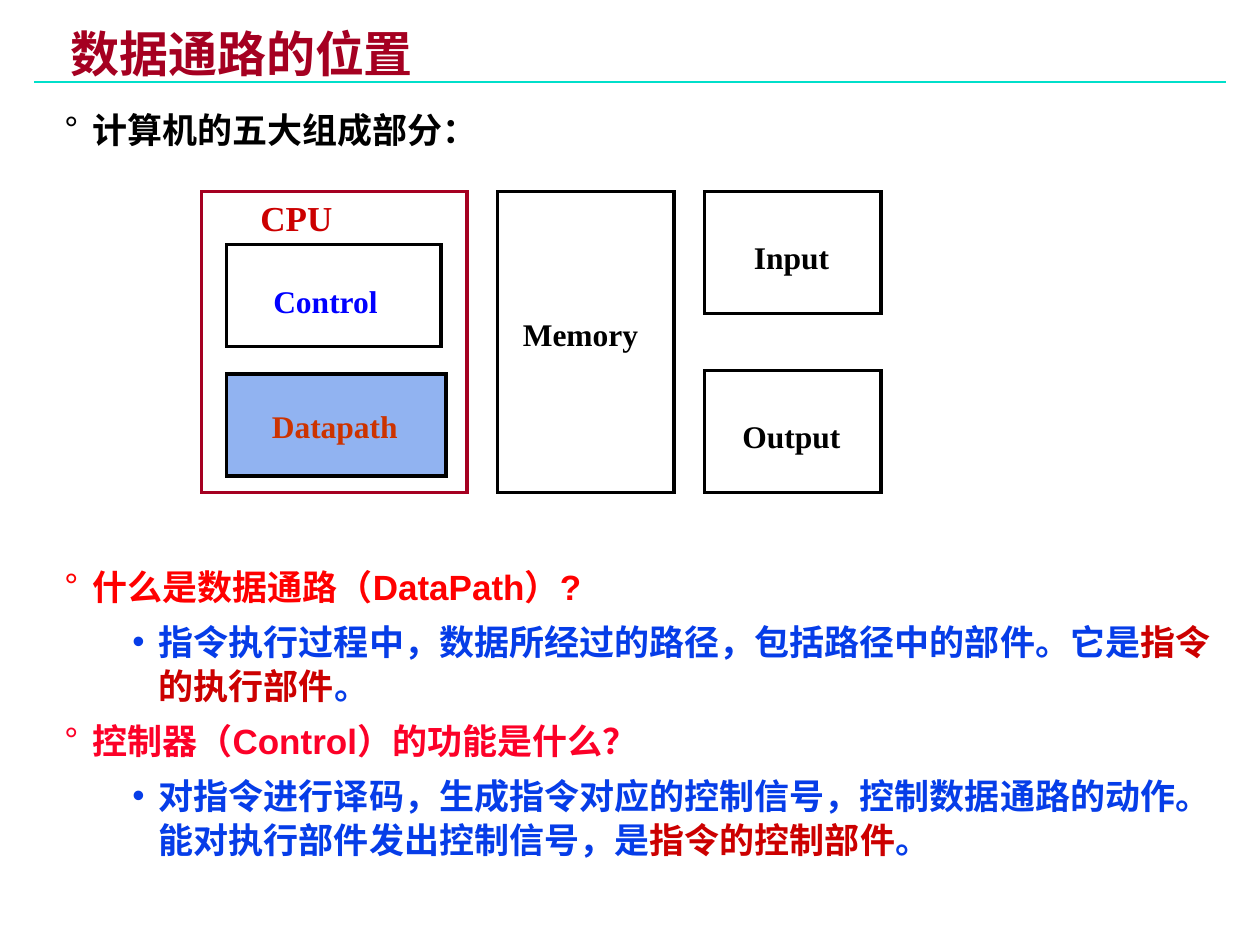
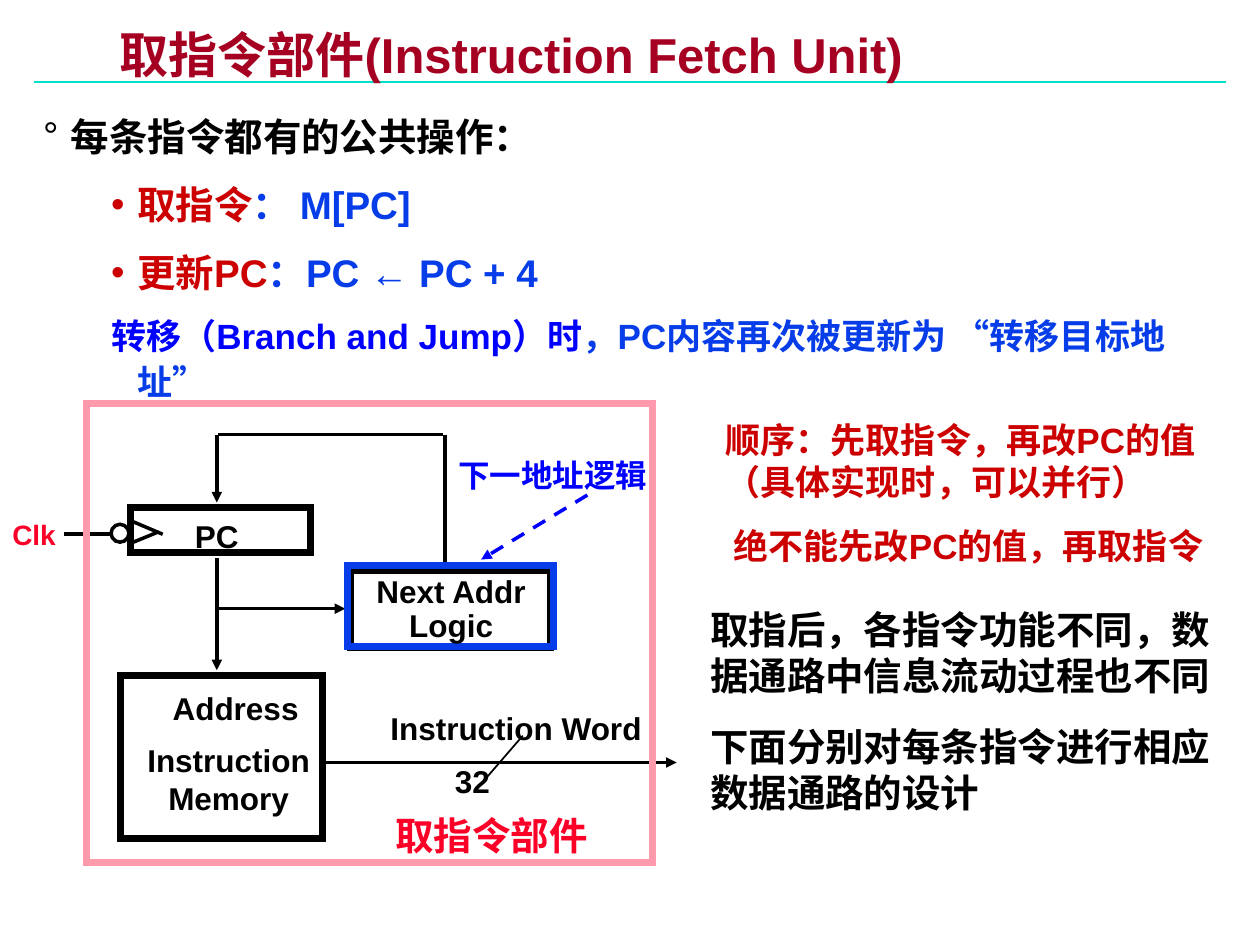
"""Build two lecture slides on the datapath and the instruction fetch unit."""
from lxml import etree
from pptx import Presentation
from pptx.dml.color import RGBColor
from pptx.enum.dml import MSO_LINE
from pptx.enum.shapes import MSO_CONNECTOR, MSO_SHAPE
from pptx.enum.text import PP_ALIGN
from pptx.oxml.ns import qn
from pptx.util import Cm, Pt

LEFT, CENTER = PP_ALIGN.LEFT, PP_ALIGN.CENTER
RECTANGLE, OVAL = MSO_SHAPE.RECTANGLE, MSO_SHAPE.OVAL
STRAIGHT, DASH = MSO_CONNECTOR.STRAIGHT, MSO_LINE.DASH

SANS, SERIF = "Arial", "Times New Roman"
BLACK, MAROON, TURQUOISE = "000000", "A50021", "00DFCA"
DARK_RED, RED, CRIMSON, RUST = "CC0000", "FF0000", "FC0128", "CC3300"
BLUE, PURE_BLUE, LIGHT_BLUE, PINK = "063DE8", "0000FF", "91B3F1", "FE9AAB"

TITLE_INSETS, LABEL_INSETS = (0.18, 0.08), (0.25, 0.13)
INDENTS = {0: (0.56, -0.56), 1: (1.9, -0.53)}
LABEL_HEIGHT = 1.02

# (level, bullet, bullet colour, size, [(text, colour), ...])
LOCATION_TITLE = ("数据通路的位置", (1.24, 0.56, 20.6, 1.17))
LOCATION_INTRO = [(0, "°", BLACK, 20, [("计算机的五大组成部分：", BLACK)])]
LOCATION_QUESTIONS = [
    (0, "°", RED, 20, [("什么是数据通路（DataPath）?", RED)]),
    (1, "•", BLUE, 20, [("指令执行过程中，数据所经过的路径，包括路径中的部件。它是", BLUE),
                        ("指令的执行部件", DARK_RED), ("。", BLUE)]),
    (0, "°", CRIMSON, 20, [("控制器（Control）的功能是什么？", CRIMSON)]),
    (1, "•", BLUE, 20, [("对指令进行译码，生成指令对应的控制信号，控制数据通路的动作。"
                         "能对执行部件发出控制信号，是", BLUE),
                        ("指令的控制部件", DARK_RED), ("。", BLUE)]),
]
COMPUTER_BOXES = [
    (RECTANGLE, (4.57, 4.93, 4.32, 2.06), BLACK, 2, None),
    (RECTANGLE, (10.03, 3.86, 3.56, 6.07), BLACK, 2, None),
    (RECTANGLE, (4.06, 3.86, 5.36, 6.07), MAROON, 2, None),
    (RECTANGLE, (14.2, 3.86, 3.56, 2.46), BLACK, 2, None),
    (RECTANGLE, (14.2, 7.47, 3.56, 2.46), BLACK, 2, None),
    (RECTANGLE, (4.57, 7.54, 4.42, 2.06), BLACK, 2, LIGHT_BLUE),
]
COMPUTER_LABELS = [
    ("Control", (5.26, 5.56, 3), 18, PURE_BLUE, LEFT),
    ("Memory", (10.29, 6.22, 3.3), 18, BLACK, LEFT),
    ("CPU", (5, 3.84, 2.4), 20, DARK_RED, LEFT),
    ("Input", (14.74, 4.67, 2.43), 18, BLACK, CENTER),
    ("Output", (14.51, 8.28, 2.89), 18, BLACK, CENTER),
    ("Datapath", (5.23, 8.08, 3.35), 18, RUST, LEFT),
]

FETCH_TITLE = ("取指令部件(Instruction Fetch Unit)", (2.24, 0.58, 17, 1.17))
FETCH_STEPS = [
    (0, "°", BLACK, 22, [("每条指令都有的公共操作：", BLACK)]),
    (1, "•", DARK_RED, 22, [("取指令", DARK_RED), ("： M[PC]", BLUE)]),
    (1, "•", DARK_RED, 22, [("更新PC", DARK_RED), ("：PC ← PC + 4", BLUE)]),
    (1, None, None, 20, [("转移（Branch and Jump）时", PURE_BLUE),
                         ("，PC内容再次被更新为 “转移目标地址”", BLUE)]),
]
FETCH_BOXES = [
    (RECTANGLE, (2.44, 13.61, 4.06, 3.3), BLACK, 4, None),
    (RECTANGLE, (2.64, 10.24, 3.63, 0.89), BLACK, 4, None),
    (OVAL, (2.24, 10.57, 0.36, 0.36), BLACK, 2, None),
    (RECTANGLE, (7.06, 11.51, 4.04, 1.55), BLACK, 4, None),
    (RECTANGLE, (7.01, 11.4, 4.14, 1.63), BLUE, 4, None),
    (RECTANGLE, (1.75, 8.13, 11.4, 9.25), PINK, 4, None),
]
# (start and end, colour, width, arrow, dashed)
FETCH_WIRES = [
    ((6.45, 15.37, 13.64, 15.37), BLACK, 2, True, False),
    ((10.54, 14.83, 9.83, 15.65), BLACK, 1, False, False),
    ((3.28, 10.77, 2.69, 10.52), BLACK, 2, False, False),
    ((3.2, 10.72, 2.64, 10.95), BLACK, 2, False, False),
    ((2.24, 10.77, 1.3, 10.77), BLACK, 2, False, False),
    ((4.37, 11.25, 4.37, 13.51), BLACK, 2, True, False),
    ((4.39, 12.27, 6.96, 12.27), BLACK, 2, True, False),
    ((4.37, 8.76, 4.37, 10.13), BLACK, 2, True, False),
    ((4.39, 8.76, 8.94, 8.76), BLACK, 2, False, False),
    ((8.97, 8.76, 8.97, 11.4), BLACK, 2, False, False),
    ((11.84, 9.98, 9.7, 11.28), PURE_BLUE, 2, True, True),
]
FETCH_LABELS = [
    ("32", (8.92, 15.24, 1.6), 18, BLACK, LEFT),
    ("Instruction Word", (7.62, 14.17, 6.2), 18, BLACK, LEFT),
    ("Address", (3.23, 13.77, 3.4), 18, BLACK, LEFT),
    ("Instruction\nMemory", (2.52, 14.81, 4.18), 18, BLACK, CENTER),
    ("PC", (3.68, 10.29, 1.8), 18, BLACK, LEFT),
    ("Clk", (0, 10.31, 1.6), 16, CRIMSON, LEFT),
    ("下一地址逻辑", (8.61, 9.07, 5.07), 18, PURE_BLUE, CENTER),
    ("取指令部件", (6.53, 16.23, 6.76), 22, CRIMSON, CENTER),
]
NEXT_ADDRESS_LABEL = ("Next Addr\nLogic", (7.14, 11.48, 3.91), 18, BLACK, CENTER)
# (frame, size, font, colour, space before, paragraphs)
FETCH_REMARKS = [
    ((14.38, 8.31, 10.44, 4.09), 20, SANS, DARK_RED, 12.5,
     ["顺序：先取指令，再改PC的值（具体实现时，可以并行）", " 绝不能先改PC的值，再取指令"]),
    ((14.07, 12.09, 11.33, 4.47), 22, SERIF, BLACK, 13.8,
     ["取指后，各指令功能不同，数据通路中信息流动过程也不同",
      "下面分别对每条指令进行相应数据通路的设计"]),
]


def rgb(value):
    return RGBColor.from_string(value)


def add_text_frame(slide, frame, insets, wrap=True):
    text_frame = slide.shapes.add_textbox(*map(Cm, frame)).text_frame
    text_frame.word_wrap = wrap
    text_frame.margin_left = text_frame.margin_right = Cm(insets[0])
    text_frame.margin_top = text_frame.margin_bottom = Cm(insets[1])
    return text_frame


def add_paragraph(text_frame, index, spacing=1.0, before=0, align=LEFT):
    paragraph = text_frame.add_paragraph() if index else text_frame.paragraphs[0]
    paragraph.alignment = align
    paragraph.line_spacing = spacing
    paragraph.space_before = Pt(before if index else 0)
    return paragraph


def add_run(paragraph, text, size, font, color):
    run = paragraph.add_run()
    run.text = text
    run.font.size = Pt(size)
    run.font.name = font
    run.font.bold = True
    run.font.color.rgb = rgb(color)


def set_bullet(paragraph, level, bullet, color):
    margin, indent = INDENTS[level]
    properties = paragraph._p.get_or_add_pPr()
    properties.set("marL", str(Cm(margin)))
    properties.set("indent", str(Cm(indent)))
    if bullet:
        bullet_color = etree.SubElement(properties, qn("a:buClr"))
        etree.SubElement(bullet_color, qn("a:srgbClr"), val=color)
        etree.SubElement(properties, qn("a:buFont"), typeface=SANS)
        etree.SubElement(properties, qn("a:buChar"), char=bullet)


def add_outline(slide, frame, items, spacing, before_ratio):
    text_frame = add_text_frame(slide, frame, TITLE_INSETS)
    for index, (level, bullet, bullet_color, size, runs) in enumerate(items):
        paragraph = add_paragraph(text_frame, index, spacing, size * before_ratio)
        set_bullet(paragraph, level, bullet, bullet_color)
        for text, color in runs:
            add_run(paragraph, text, size, SANS, color)


def add_label(slide, label, font, spacing=1.0):
    text, position, size, color, align = label
    lines = text.split("\n")
    frame = (*position, LABEL_HEIGHT * len(lines))
    text_frame = add_text_frame(slide, frame, LABEL_INSETS)
    for index, line in enumerate(lines):
        paragraph = add_paragraph(text_frame, index, spacing, align=align)
        add_run(paragraph, line, size, font, color)


def add_remark(slide, frame, size, font, color, before, texts):
    text_frame = add_text_frame(slide, frame, LABEL_INSETS)
    for index, text in enumerate(texts):
        add_run(add_paragraph(text_frame, index, before=before), text, size, font, color)


def add_box(slide, kind, frame, line_color, width, fill):
    shape = slide.shapes.add_shape(kind, *map(Cm, frame))
    shape.shadow.inherit = False
    shape.line.color.rgb = rgb(line_color)
    shape.line.width = Pt(width)
    etree.SubElement(shape.line._get_or_add_ln(), qn("a:miter"), lim="800000")
    if fill:
        shape.fill.solid()
        shape.fill.fore_color.rgb = rgb(fill)
    else:
        shape.fill.background()


def add_wire(slide, ends, color, width, arrow=False, dashed=False):
    connector = slide.shapes.add_connector(STRAIGHT, *map(Cm, ends))
    connector.line.color.rgb = rgb(color)
    connector.line.width = Pt(width)
    if dashed:
        connector.line.dash_style = DASH
    if arrow:
        etree.SubElement(connector.line._get_or_add_ln(), qn("a:tailEnd"), type="triangle")
    etree.SubElement(connector._element.spPr, qn("a:effectLst"))


def add_titled_slide(presentation, title):
    text, frame = title
    slide = presentation.slides.add_slide(presentation.slide_layouts[6])
    add_wire(slide, (0.69, 1.65, 24.71, 1.65), TURQUOISE, 1.5)
    paragraph = add_paragraph(add_text_frame(slide, frame, TITLE_INSETS), 0, 0.87)
    add_run(paragraph, text, 28, SANS, MAROON)
    return slide


def build_location_slide(presentation):
    slide = add_titled_slide(presentation, LOCATION_TITLE)
    add_outline(slide, (1.12, 2.11, 23.57, 1.2), LOCATION_INTRO, 1.0, 0)
    add_outline(slide, (1.12, 11.27, 23.57, 6.5), LOCATION_QUESTIONS, 1.05, 0.31)
    for box in COMPUTER_BOXES:
        add_box(slide, *box)
    for label in COMPUTER_LABELS:
        add_label(slide, label, SERIF)


def build_fetch_slide(presentation):
    slide = add_titled_slide(presentation, FETCH_TITLE)
    add_outline(slide, (0.69, 2.11, 24.16, 6.07), FETCH_STEPS, 1.1, 0.44)
    for wire in FETCH_WIRES:
        add_wire(slide, *wire)
    for box in FETCH_BOXES:
        add_box(slide, *box)
    for label in FETCH_LABELS:
        add_label(slide, label, SANS)
    add_label(slide, NEXT_ADDRESS_LABEL, SANS, 0.9)
    for remark in FETCH_REMARKS:
        add_remark(slide, *remark)


def main():
    presentation = Presentation()
    presentation.slide_width = Cm(25.4)
    presentation.slide_height = Cm(19.05)
    build_location_slide(presentation)
    build_fetch_slide(presentation)
    presentation.save("out.pptx")


if __name__ == "__main__":
    main()
